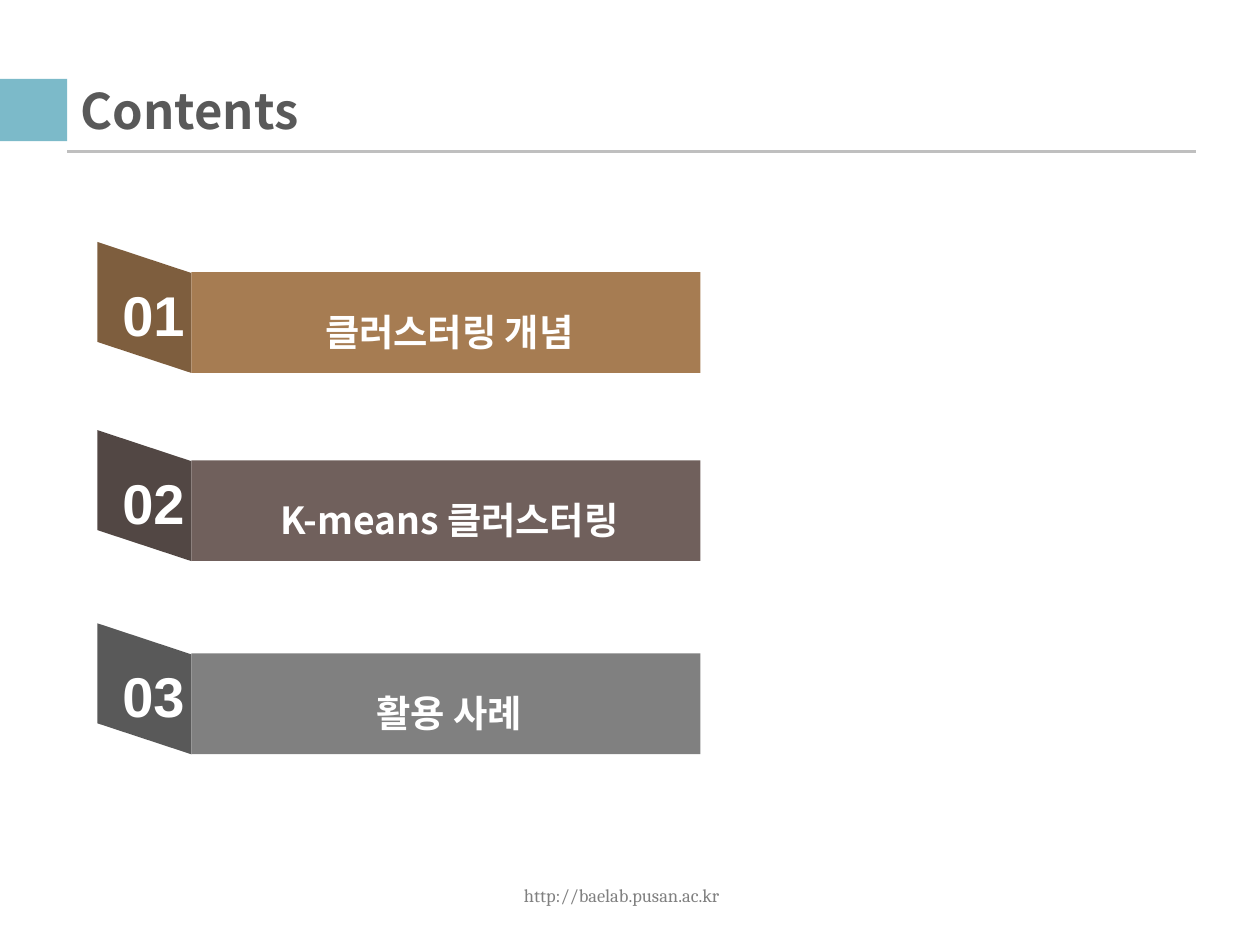
from lxml import etree
from pptx import Presentation
from pptx import util as u
from pptx.dml.color import RGBColor
from pptx.enum import shapes, text
from pptx.oxml.ns import qn


def rgb(value):
    return RGBColor.from_string(value)


class Deck:
    """Holds the style and the current slide."""
    SANS, NUMBER, FOOTER = "Noto Sans CJK KR", "Arial", "Cambria"
    WHITE, DARK, GRAY, RULE, ACCENT = "FFFFFF", "595959", "808080", "BFBFBF", "7CBAC9"

    def __init__(self, width):
        """Starts a 4:3 slide of the given width."""
        self.prs = Presentation()
        self.prs.slide_width = u.Inches(width)
        self.prs.slide_height = u.Inches(width * 3 / 4)
        self.s = self.prs.slides.add_slide(self.prs.slide_layouts[6])

    def shape(self, kind, box, fill, parent=None):
        sp = (parent or self.s).shapes.add_shape(kind, *map(u.Inches, box))
        sp.shadow.inherit = False
        sp.fill.solid()
        sp.fill.fore_color.rgb = rgb(fill)
        sp.line.fill.background()
        return sp

    def rule(self, x1, x2, y):
        ln = self.s.shapes.add_connector(
            shapes.MSO_CONNECTOR.STRAIGHT, *map(u.Inches, (x1, y, x2, y)))
        ln.line.color.rgb = rgb(self.RULE)
        ln.line.width = u.Pt(1.25)
        etree.SubElement(ln._element.spPr, qn("a:effectLst"))

    def text(self, box, words, size, font, color, bold=True,
             align=text.PP_ALIGN.CENTER, anchor=text.MSO_ANCHOR.MIDDLE):
        tf = self.s.shapes.add_textbox(*map(u.Inches, box)).text_frame
        tf.word_wrap = True
        tf.vertical_anchor = anchor
        p = tf.paragraphs[0]
        p.alignment = align
        r = p.add_run()
        r.text = words
        r.font.size, r.font.bold, r.font.name = u.Pt(size), bold, font
        r.font.color.rgb = rgb(color)
        etree.SubElement(r.font._element, qn("a:ea")).set("typeface", font)

    def chapter(self, top, number, label, bar_color, fold_color):
        """Draws a bar with a folded, numbered flap on its left."""
        group = self.s.shapes.add_group_shape()
        flap = self.shape(shapes.MSO_SHAPE.PARALLELOGRAM,
                          (0.47, top - 0.07, 0.78, 0.56), fold_color, group)
        flap.adjustments[0] = 0.33
        flap.rotation = 270
        self.shape(shapes.MSO_SHAPE.RECTANGLE, (1.14, top, 3.03, 0.6), bar_color, group)
        self.text((1.16, top + 0.17, 3.03, 0.37), label, 16, self.SANS, self.WHITE)
        self.text((0.63, top, 0.74, 0.5), f"{number:02}", 24, self.NUMBER, self.WHITE,
                  align=text.PP_ALIGN.LEFT, anchor=text.MSO_ANCHOR.TOP)


def main():
    deck = Deck(7.5)
    deck.text((2.51, 5.18, 2.38, 0.3), "http://baelab.pusan.ac.kr", 7.9,
              deck.FOOTER, deck.GRAY, bold=False)
    deck.shape(shapes.MSO_SHAPE.RECTANGLE, (0, 0.47, 0.4, 0.37), deck.ACCENT)
    deck.rule(0.4, 7.12, 0.9)
    deck.text((0.38, 0.48, 6.75, 0.35), "Contents", 21, deck.SANS, deck.DARK,
              align=text.PP_ALIGN.LEFT)

    chapters = [
        (1.62, "클러스터링 개념", "A67C52", "7E5E3E"),
        (2.74, "K-means 클러스터링", "70605C", "524744"),
        (3.89, "활용 사례", deck.GRAY, deck.DARK),
    ]
    for number, (top, label, bar, fold) in enumerate(chapters, 1):
        deck.chapter(top, number, label, bar, fold)

    deck.prs.save("out.pptx")


if __name__ == "__main__":
    main()
